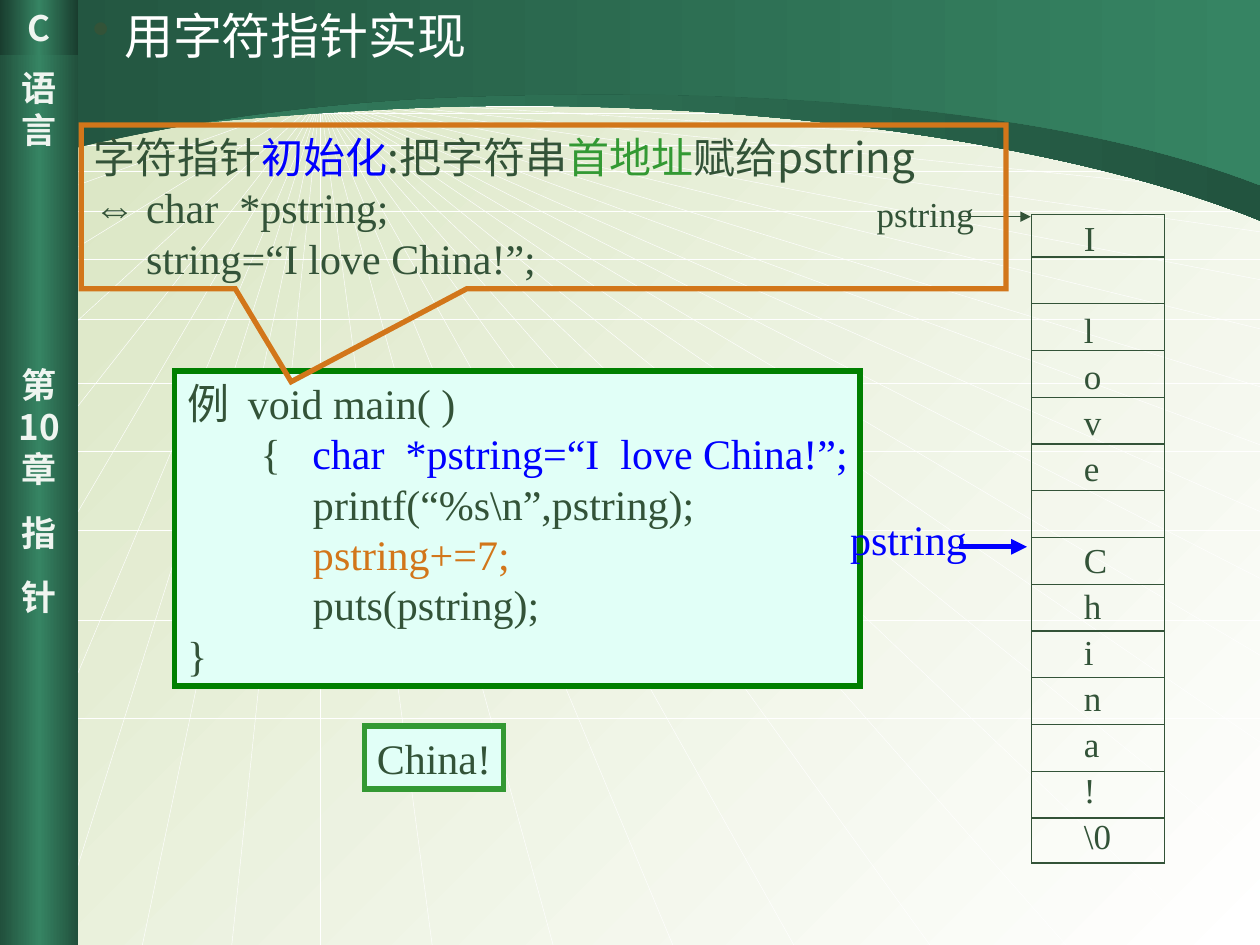
from copy import deepcopy

from lxml import etree
from pptx import Presentation
from pptx.dml.color import RGBColor
from pptx.enum.shapes import MSO_CONNECTOR, MSO_SHAPE
from pptx.enum.text import MSO_ANCHOR, MSO_AUTO_SIZE, PP_ALIGN
from pptx.oxml.ns import qn
from pptx.util import Emu, Inches, Pt

LEFT, CENTER = PP_ALIGN.LEFT, PP_ALIGN.CENTER
TOP, MIDDLE = MSO_ANCHOR.TOP, MSO_ANCHOR.MIDDLE
RECT, CALLOUT = MSO_SHAPE.RECTANGLE, MSO_SHAPE.RECTANGULAR_CALLOUT
STRAIGHT = MSO_CONNECTOR.STRAIGHT

COLORS = {
    "ink": "335338", "white": "FFFFFF", "pale": "EFF5F0", "sage": "D7E4BE",
    "mint": "E1FFF7", "blue": "0000FF", "orange": "D2761A", "leaf": "339933",
    "frame": "008000", "jade": "368463", "pine": "22543F", "edge": "21503C",
    "cap": "193D2E",
}
SERIF, SANS, CJK = "Times New Roman", "Arial", "Noto Sans CJK SC"

# The slide is a grid of 100 columns by 75 square rows.
COLS, ROWS = 100, 75
CELL = Inches(10) // COLS
BAR = 6.2


def grid(*values):
    return [Emu(round(v * CELL)) for v in values]


def rgb(name):
    return RGBColor.from_string(COLORS[name])


def set_gradient(fill, names, angle=0):
    """Spread the named colours evenly; the angle runs clockwise."""
    fill.gradient()
    fill.gradient_angle = -angle % 360
    first = fill.gradient_stops[0]
    stops = first._gs.getparent()
    for _ in names[2:]:
        stops.append(deepcopy(first._gs))
    for i, (stop, name) in enumerate(zip(fill.gradient_stops, names)):
        stop.position = i / (len(names) - 1)
        stop.color.rgb = rgb(name)


def write(tf, paras, size, align=LEFT, anchor=TOP, wrap=True, bold=False):
    """Each paragraph is a list of (text, colour, font) runs."""
    tf.word_wrap, tf.auto_size = wrap, MSO_AUTO_SIZE.NONE
    tf.vertical_anchor = anchor
    for i, runs in enumerate(paras):
        p = tf.add_paragraph() if i else tf.paragraphs[0]
        p.alignment, p.line_spacing = align, Pt(size * 1.2)
        p.space_before = Pt(0)
        for text, color, font in runs:
            r = p.add_run()
            r.text = text
            r.font.size, r.font.name, r.font.bold = Pt(size), font, bold
            r.font.color.rgb = rgb(color)
            ea = etree.SubElement(r._r.get_or_add_rPr(), qn("a:ea"))
            ea.set("typeface", CJK)


def add_box(s, box, kind=RECT, fill=None, line=None, width=3):
    sp = s.shapes.add_shape(kind, *grid(*box))
    sp.shadow.inherit = False
    if fill:
        sp.fill.solid()
        sp.fill.fore_color.rgb = rgb(fill)
    else:
        sp.fill.background()
    if line:
        sp.line.color.rgb, sp.line.width = rgb(line), Pt(width)
        miter = etree.SubElement(sp.line._get_or_add_ln(), qn("a:miter"))
        miter.set("lim", "800000")
    else:
        sp.line.fill.background()
    return sp


def add_label(s, box, text, size, color="ink", **style):
    sp = s.shapes.add_textbox(*grid(*box))
    write(sp.text_frame, [[(text, color, SERIF)]], size, **style)


def add_line(s, x1, y1, x2, y2, color, width, arrow=False):
    c = s.shapes.add_connector(STRAIGHT, *grid(x1, y1, x2, y2))
    c.line.color.rgb, c.line.width = rgb(color), Pt(width)
    if arrow:
        ln = c.line._get_or_add_ln()
        etree.SubElement(ln, qn("a:tailEnd")).set("type", "triangle")
    etree.SubElement(c._element.spPr, qn("a:effectLst"))


def add_rays(s, x, y):
    """A floor of fine lines that meet at the vanishing point (x, y)."""
    right = [10, 12.3, 15.4, 18.4, 22.2, 26.1, 30.7, 35.3, 40.6, 45.9, 52,
             58.9, 68]
    bottom = [96, 84.6, 73.8, 63, 53.4, 43.9, 34.3, 25.4, 18.4, 11.3, 4.2]
    left = [7.8, 9.7, 11.6, 16.9, 23.4, 31.1, 40.1, 51.2, 68.1]
    ends = [(COLS, v) for v in right]
    ends += [(v, ROWS) for v in bottom] + [(0, v) for v in left]
    for end in ends:
        add_line(s, x, y, *end, "white", 0.25)
    for row in (8.4, 9, 9.8, 11.5, 13.6, 16.8, 20.6, 25.3, 30.4, 35.8, 42.1,
                49.2, 57):
        add_line(s, 0, row, COLS, row, "white", 0.25)


def add_wave(s, start, first, second, colors):
    """A band from the slide's top edge down to two joined Bezier curves."""
    builder = s.shapes.build_freeform(0, 0)
    corners = [start, *first, *second, (COLS, 0)]
    builder.add_line_segments([grid(*xy) for xy in corners], close=True)
    sp = builder.convert_to_shape()
    segments = list(sp._element.iter(qn("a:lnTo")))
    for i in (1, 4):
        bezier = etree.Element(qn("a:cubicBezTo"))
        segments[i].addprevious(bezier)
        for segment in segments[i:i + 3]:
            bezier.append(segment[0])
            segment.getparent().remove(segment)
    sp.shadow.inherit = False
    sp.line.fill.background()
    set_gradient(sp.fill, colors)


def add_backdrop(s):
    add_rays(s, 25.4, 7.8)
    add_wave(s, (0, 11.9), [(1.1, 11.8), (13.3, 9.3), (34.7, 8.5)],
             [(56.1, 7.8), (83.1, 10.6), (COLS, 17.5)], ["jade", "pine"])
    add_wave(s, (0, 13.3), [(1.1, 13.1), (15.1, 8.5), (36.4, 7.7)],
             [(57.7, 6.9), (83.1, 8.1), (COLS, 14.7)], ["pine", "jade"])


def add_sidebar(s, x, y, w, h):
    parts = [(h, "edge", 5.25, ["语言", "第 10 章", "指", "针"]),
             (4.4, "cap", 0.5, ["C"])]
    for height, edge, inset, words in parts:
        sp = add_box(s, (x, y, w, height))
        set_gradient(sp.fill, [edge, "jade", edge])
        tf = sp.text_frame
        tf.margin_top = grid(inset)[0]
        write(tf, [[(word, "pale", CJK)] for word in words], 20, CENTER,
              bold=True)
        for p, gap in zip(tf.paragraphs[1:], (122, 12.5, 12.5)):
            p.space_before = Pt(gap)


def move_to_layout(s):
    """Hand the decoration drawn so far to the slide's layout."""
    tree = s.slide_layout.shapes._spTree
    decoration = [sp for sp in s.shapes if not sp.is_placeholder]
    for i, sp in enumerate(decoration):
        tree.insert(2 + i, sp._element)


def add_title(s, *box):
    title = s.shapes.title
    title.left, title.top, title.width, title.height = grid(*box)
    tf = title.text_frame
    tf.margin_top = grid(0.45)[0]
    pPr = tf.paragraphs[0]._p.get_or_add_pPr()
    indent = grid(2.5)[0]
    pPr.set("marL", str(indent))
    pPr.set("indent", str(-indent))
    color = etree.SubElement(pPr, qn("a:buClr"))
    etree.SubElement(color, qn("a:srgbClr")).set("val", COLORS["ink"])
    etree.SubElement(pPr, qn("a:buChar")).set("char", "•")
    write(tf, [[("用字符指针实现", "white", CJK)]], 28)


def add_code(s, *box):
    sp = add_box(s, box, fill="mint", line="frame")
    write(sp.text_frame, [
        [("例  void main( )", "ink", SERIF)],
        [("       {   ", "ink", SERIF),
         ("char  *pstring=“I  love China!”;", "blue", SERIF)],
        [("            printf(“%s\\n”,pstring);", "ink", SERIF)],
        [("            pstring+=7;", "orange", SERIF)],
        [("            puts(pstring);", "ink", SERIF)],
        [("}", "ink", SERIF)]], 24, wrap=False)


def add_memory(s, x, y, w, h):
    """The string in memory, one character a cell."""
    chars = [*"I love China!", "\\0"]
    add_box(s, (x, y, w, h), line="ink", width=0.75)
    for i, char in enumerate(chars):
        if i:
            row = y + 3.4 + (i - 1) * 3.71
            add_line(s, x, row, x + w, row, "ink", 0.75)
        if char != " ":
            add_label(s, (x + 3.2, y - 0.3 + i * 3.65, 6, 4.4), char, 20)


def add_pointer(s, x, y, w, h, size, color, arrow, width):
    """A pstring label with an arrow (x1, x2, row) to its cell."""
    x1, x2, row = arrow
    add_line(s, x1, row, x2, row, color, width, arrow=True)
    add_label(s, (x, y, w, h), "pstring", size, color, align=CENTER,
              wrap=False)


def add_callout(s, *box):
    sp = add_box(s, box, CALLOUT, line="orange")
    sp.adjustments[0], sp.adjustments[1] = -0.273, 1.067
    write(sp.text_frame, [
        [("字符指针", "ink", CJK), ("初始化", "blue", CJK),
         (":把字符串", "ink", CJK), ("首地址", "leaf", CJK),
         ("赋给pstring", "ink", CJK)],
        [("⇔", "ink", SANS), (" char  *pstring;", "ink", SERIF)],
        [("     string=“I love China!”;", "ink", SERIF)]], 24, anchor=MIDDLE)


def add_output(s, *box):
    sp = add_box(s, box, fill="mint", line="leaf")
    write(sp.text_frame, [[("China!", "ink", SERIF)]], 24, CENTER, wrap=False)


def main():
    prs = Presentation()
    prs.slide_width, prs.slide_height = grid(COLS, ROWS)
    s = prs.slides.add_slide(prs.slide_layouts[5])
    set_gradient(s.background.fill, ["sage", "white"], 45)
    add_backdrop(s)
    add_sidebar(s, 0, 0, BAR, ROWS)
    move_to_layout(s)
    add_title(s, 6.35, 0, 84, 5.9)
    add_code(s, 13.87, 29.45, 54.4, 25)
    add_memory(s, 81.85, 17, 10.6, 51.5)
    add_pointer(s, 68.6, 14.8, 9.7, 4.4, 20, "ink", (76.1, 81.8, 17.2), 0.75)
    add_callout(s, 6.45, 9.93, 73.4, 13)
    add_pointer(s, 66.5, 40.25, 11.2, 5, 24, "blue", (76.1, 81.5, 43.4), 3)
    add_output(s, 28.95, 57.63, 11, 5)
    prs.save("out.pptx")


if __name__ == "__main__":
    main()
